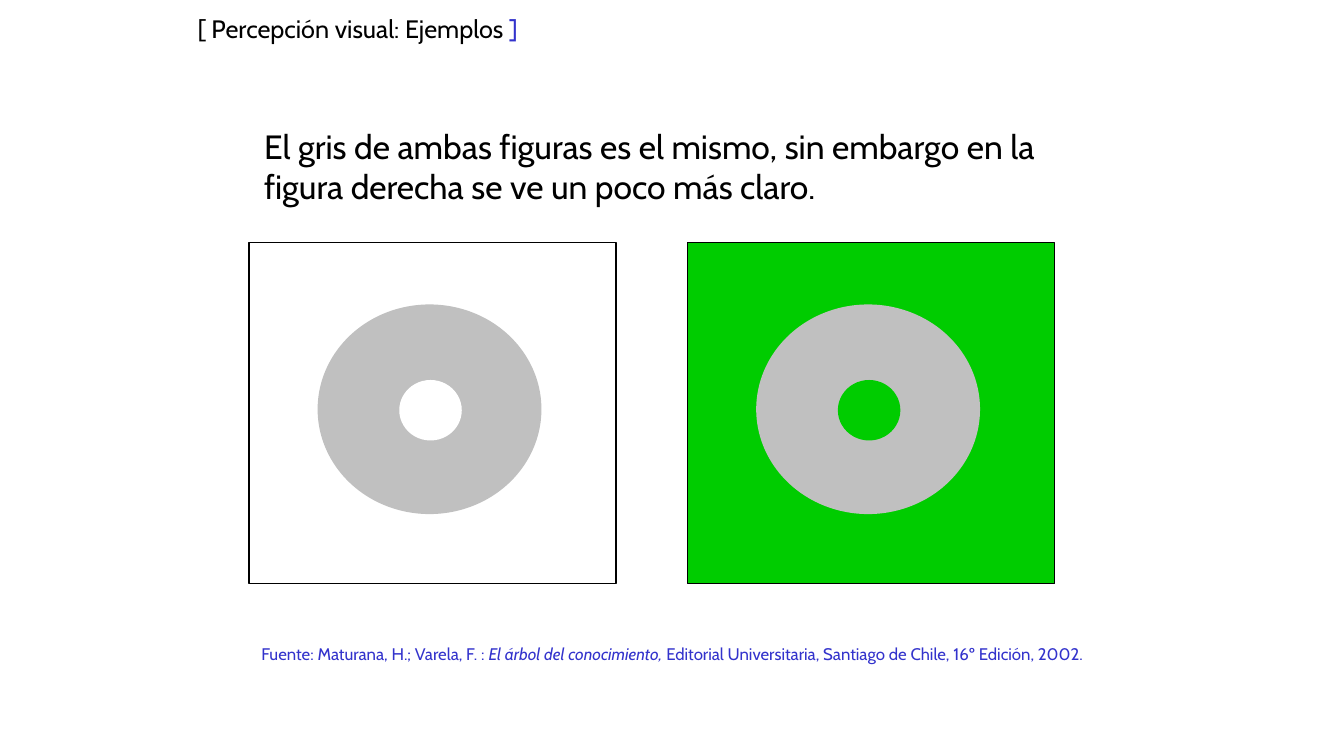
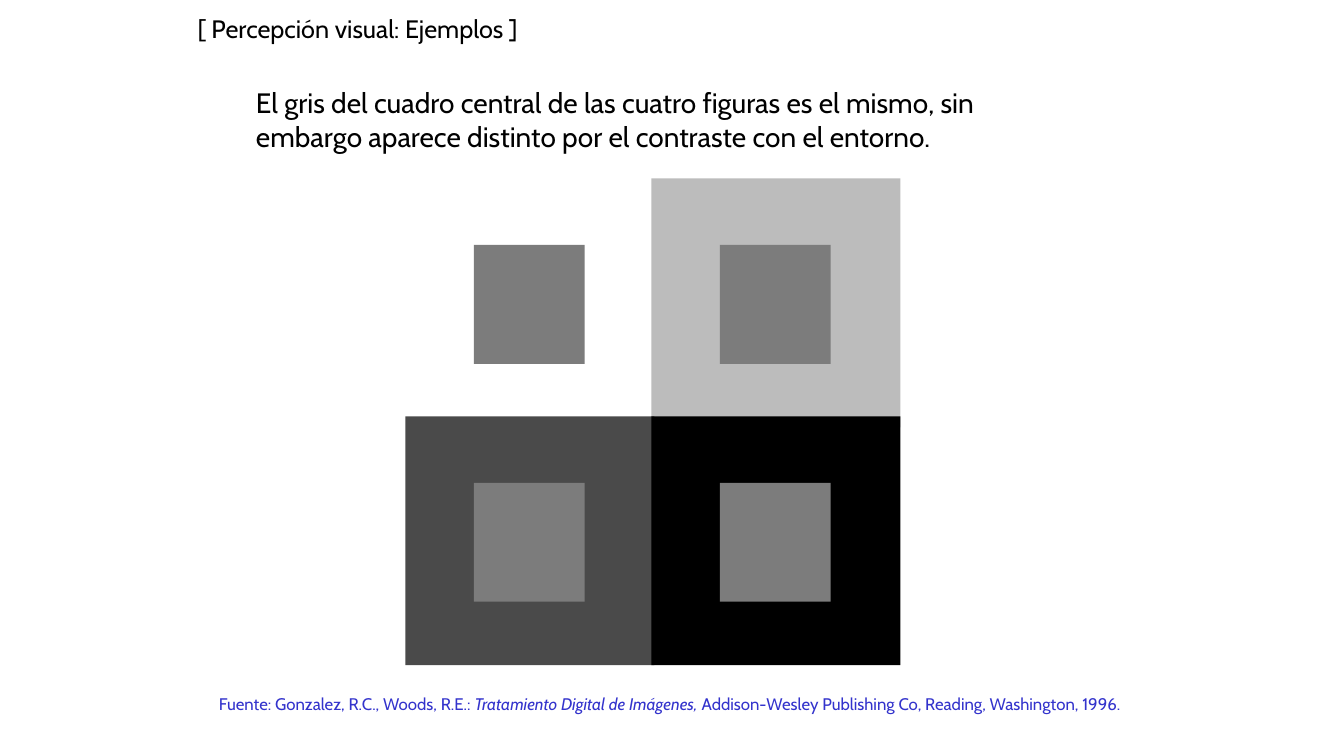
from dataclasses import dataclass
from itertools import product

from pptx import Presentation
from pptx import util as u
from pptx.dml.color import RGBColor
from pptx.enum import shapes, text


@dataclass(frozen=True)
class Theme:
    font: str = "Cabin"
    ink: str = "000000"
    accent: str = "3333CC"
    paper: str = "FFFFFF"
    ring: str = "C0C0C0"
    center: str = "7C7C7C"
    title_size: int = 18
    source_size: int = 12
    outline: float = 0.75


THEME = Theme()
RECT = shapes.MSO_SHAPE.RECTANGLE
OVAL = shapes.MSO_SHAPE.OVAL
TITLE_BOX = (1.86, 0.08, 3.51, 0.4)

RINGS = {
    "title": [("[ Percepción visual: Ejemplos ", {}), ("]", {"color": THEME.accent})],
    "statement": "El gris de ambas figuras es el mismo, sin embargo en la "
                 "figura derecha se ve un poco más claro.",
    "statement_box": (2.52, 1.2, 8.11, 0.91),
    "statement_size": 24,
    "source": [
        ("Fuente: Maturana, H.; Varela, F. : ", {}),
        ("El árbol del conocimiento, ", {"italic": True}),
        ("Editorial Universitaria, Santiago de Chile, 16º Edición, 2002.", {}),
    ],
    "source_box": (2.26, 6.34, 8.82, 0.3),
    "grounds": [THEME.paper, "00CC00"],
}
SQUARES = {
    "title": [("[ Percepción visual: Ejemplos ]", {})],
    "statement": "El gris del cuadro central de las cuatro figuras es el mismo, sin "
                 "embargo aparece distinto por el contraste con el entorno.",
    "statement_box": (2.44, 0.8, 8.11, 0.77),
    "statement_size": 20,
    "source": [
        ("Fuente: Gonzalez, R.C., Woods, R.E.: ", {}),
        ("Tratamiento Digital de Imágenes,", {"italic": True}),
        (" Addison-Wesley Publishing Co, Reading, Washington, 1996.", {}),
    ],
    "source_box": (1.84, 6.83, 9.61, 0.3),
    "grounds": [THEME.paper, "BCBCBC", "4A4A4A", THEME.ink],
}


def inches(box):
    return [u.Inches(value) for value in box]


def write(frame, runs, size, color=THEME.ink, align=text.PP_ALIGN.LEFT, wrap=False):
    frame.word_wrap = wrap
    frame.auto_size = text.MSO_AUTO_SIZE.SHAPE_TO_FIT_TEXT
    frame.vertical_anchor = text.MSO_ANCHOR.TOP
    para = frame.paragraphs[0]
    para.alignment = align
    for words, style in runs:
        span = para.add_run()
        span.text = words
        span.font.name = THEME.font
        span.font.size = u.Pt(size)
        span.font.italic = style.get("italic", False)
        span.font.color.rgb = RGBColor.from_string(style.get("color", color))


def add_figure(page, kind, box, fill, outlined=False):
    figure = page.shapes.add_shape(kind, *inches(box))
    figure.shadow.inherit = False
    figure.fill.solid()
    figure.fill.fore_color.rgb = RGBColor.from_string(fill)
    if outlined:
        figure.line.color.rgb = RGBColor.from_string(THEME.ink)
        figure.line.width = u.Pt(THEME.outline)
    else:
        figure.line.fill.background()


def add_page(deck, content):
    page = deck.slides.add_slide(deck.slide_layouts[5])
    title = page.shapes.title
    title.left, title.top, title.width, title.height = inches(TITLE_BOX)
    title.fill.solid()
    title.fill.fore_color.rgb = RGBColor.from_string(THEME.paper)
    write(title.text_frame, content["title"], THEME.title_size)
    statement = page.shapes.add_textbox(*inches(content["statement_box"]))
    write(statement.text_frame, [(content["statement"], {})],
          content["statement_size"], wrap=True)
    source = page.shapes.add_textbox(*inches(content["source_box"]))
    write(source.text_frame, content["source"], THEME.source_size,
          color=THEME.accent, align=text.PP_ALIGN.CENTER)
    return page


def draw_rings(page, grounds):
    left, top, pitch = 2.47, 2.41, 4.35
    for column, ground in enumerate(grounds):
        x = left + column * pitch
        add_figure(page, RECT, (x, top, 3.64, 3.38), ground, outlined=True)
        add_figure(page, OVAL, (x + 0.68, top + 0.61, 2.22, 2.08), THEME.ring)
        add_figure(page, OVAL, (x + 1.49, top + 1.36, 0.62, 0.6), ground)


def draw_squares(page, grounds):
    left, top, side = 4.02, 1.77, 2.47
    across, down = 2.44, 2.36
    for (row, column), ground in zip(product(range(2), repeat=2), grounds):
        x, y = left + column * across, top + row * down
        add_figure(page, RECT, (x, y, side, side), ground)
        add_figure(page, RECT, (x + 0.68, y + 0.66, 1.1, 1.18), THEME.center)


def main():
    deck = Presentation()
    deck.slide_width, deck.slide_height = inches((13.33, 7.5))
    for content, draw in ((RINGS, draw_rings), (SQUARES, draw_squares)):
        draw(add_page(deck, content), content["grounds"])
    deck.save("out.pptx")


if __name__ == "__main__":
    main()
